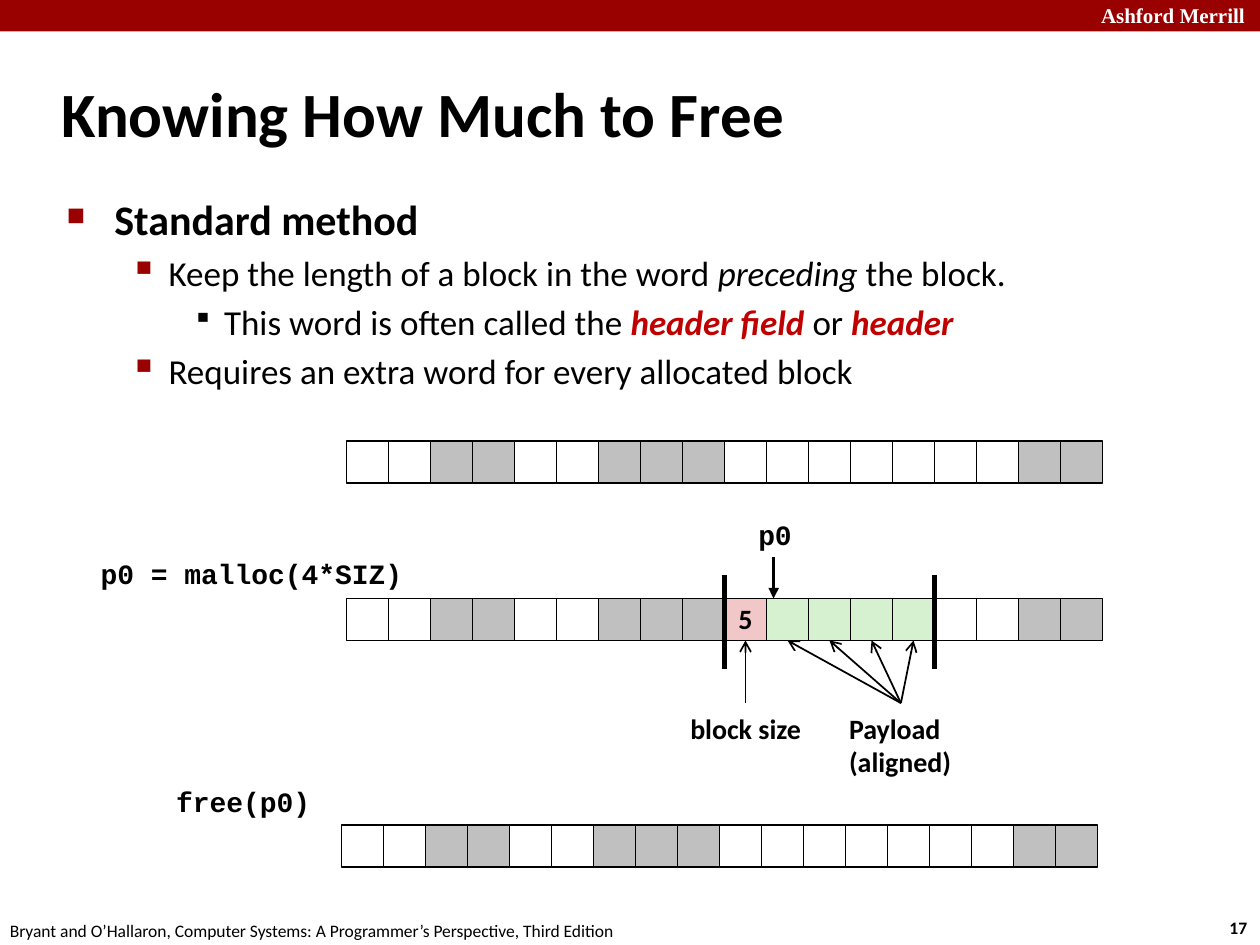
import lxml.etree
import pptx
import pptx.dml.color
import pptx.enum.shapes
import pptx.enum.text
import pptx.oxml.ns
import pptx.util
from dataclasses import dataclass


@dataclass(frozen=True)
class Theme:
    sans: str = "Calibri"
    mono: str = "Courier New"
    serif: str = "Times New Roman"
    black: str = "000000"
    white: str = "FFFFFF"
    crimson: str = "990000"
    accent: str = "C00000"
    used: str = "C0C0C0"
    header: str = "F1C7C7"
    payload: str = "D5F1CF"
    title: int = 36
    heading: int = 24
    body: int = 20
    label: int = 16
    brand: int = 12
    footer: int = 10


theme = Theme()
rgb = pptx.dml.color.RGBColor.from_string
qn = pptx.oxml.ns.qn
RECT = pptx.enum.shapes.MSO_SHAPE.RECTANGLE
STRAIGHT = pptx.enum.shapes.MSO_CONNECTOR.STRAIGHT
MIDDLE = pptx.enum.text.MSO_ANCHOR.MIDDLE
GROW = pptx.enum.text.MSO_AUTO_SIZE.SHAPE_TO_FIT_TEXT

prs = pptx.Presentation()
prs.slide_width, prs.slide_height = pptx.util.Inches(10), pptx.util.Inches(7.5)
s = prs.slides.add_slide(prs.slide_layouts[6])

# One grid unit is one memory word: 30 columns by 22.5 rows
U = prs.slide_width / 30


def write(p, text, size=theme.label, font=theme.sans, color=theme.black, bold=False, italic=False):
    """Append formatted text to a paragraph, with a line break at each newline."""
    for i, line in enumerate(text.split("\n")):
        if i:
            p.add_line_break()
        r = p.add_run()
        r.text = line
        r.font.size, r.font.name = pptx.util.Pt(size), font
        r.font.bold, r.font.italic = bold, italic
        r.font.color.rgb = rgb(color)


def draw_line(x1, y1, x2, y2, width=1, head=None):
    """Draw a straight line in grid units, with an optional arrowhead at its end."""
    c = s.shapes.add_connector(STRAIGHT, *(int(v * U) for v in (x1, y1, x2, y2)))
    c.line.color.rgb = rgb(theme.black)
    c.line.width = pptx.util.Pt(width)
    if head:
        lxml.etree.SubElement(c.line._get_or_add_ln(), qn("a:tailEnd"), type=head)
    lxml.etree.SubElement(c._element.spPr, qn("a:effectLst"))


# Top band
band = s.shapes.add_shape(RECT, 0, 0, prs.slide_width, int(0.75 * U))
band.shadow.inherit = False
band.fill.solid()
band.fill.fore_color.rgb = rgb(theme.crimson)
band.line.fill.background()

# Single-format texts: left, top, width, height, text, format
code = dict(font=theme.mono, bold=True)
texts = [
    (25.92, -0.09, 4.29, 0.9, "Ashford Merrill",
     dict(size=theme.brand, font=theme.serif, color=theme.white, bold=True)),
    (28.98, 21.69, 1.11, 0.81, "17", dict(size=theme.footer, bold=True)),
    (-0.06, 21.75, 15.24, 0.81,
     "Bryant and O’Hallaron, Computer Systems: A Programmer’s Perspective, Third Edition",
     dict(size=theme.footer)),
    (1.17, 1.44, 24.9, 2.49, "Knowing How Much to Free", dict(size=theme.title, bold=True)),
    (2.1, 13.17, 7.89, 1.08, "p0 = malloc(4*SIZ)", code),
    (17.76, 12.24, 1.41, 1.05, "p0", code),
    (3.9, 18.6, 3.84, 1.08, "free(p0)", code),
    (16.14, 16.83, 3.27, 1.11, "block size", dict(bold=True)),
    (19.92, 16.83, 3.06, 1.89, "Payload\n(aligned)", dict(bold=True)),
]
for *box, text, fmt in texts:
    tf = s.shapes.add_textbox(*(int(v * U) for v in box)).text_frame
    p = tf.paragraphs[0]
    if fmt.get("size") == theme.title:
        tf.word_wrap = True
        tf.vertical_anchor = MIDDLE
    else:
        tf.word_wrap = False
        tf.auto_size = GROW
    if "size" not in fmt:
        p.line_spacing = 0.94 if fmt is code else 0.98
    write(p, text, **fmt)

# Bullets: margin and hanging indent in grid units, bullet character, size and colour by level
levels = [
    (1.14, 1.14, "■", 60, theme.crimson),
    (2.43, 0.93, "▪", 110, theme.crimson),
    (3.75, 0.75, "▪", 80, theme.black),
]
term = dict(color=theme.accent, bold=True, italic=True)
bullets = [
    (0, [("Standard method", dict(size=theme.heading, bold=True))]),
    (1, [("Keep the length of a block in the word ", {}), ("preceding", dict(italic=True)),
         (" the block.", {})]),
    (2, [("This word is often called the ", {}), ("header field ", term), ("or ", {}),
         ("header", term)]),
    (1, [("Requires an extra word for every allocated block", {})]),
]
tf = s.shapes.add_textbox(*(int(v * U) for v in (1.29, 4.47, 25.92, 16.32))).text_frame
tf.word_wrap = True
for i, (level, runs) in enumerate(bullets):
    p = tf.add_paragraph() if i else tf.paragraphs[0]
    p.level = level
    p.space_before = pptx.util.Pt(4 if level else 4.8)
    margin, hang, char, percent, color = levels[level]
    pPr = p._p.get_or_add_pPr()
    pPr.set("marL", str(int(margin * U)))
    pPr.set("indent", str(int(-hang * U)))
    clr = lxml.etree.SubElement(pPr, qn("a:buClr"))
    lxml.etree.SubElement(clr, qn("a:srgbClr"), val=color)
    lxml.etree.SubElement(pPr, qn("a:buSzPct"), val=str(percent * 1000))
    lxml.etree.SubElement(pPr, qn("a:buChar"), char=char)
    for text, fmt in runs:
        write(p, text, **{"size": theme.body, **fmt})

# Memory rows: one letter per word
fills = {".": theme.white, "#": theme.used, "h": theme.header, "p": theme.payload}
memory_rows = [
    (8.25, 10.5, "..##..###.......##"),
    (8.25, 14.25, "..##..###hpppp..##"),
    (8.13, 19.65, "..##..###.......##"),
]
for left, top, words in memory_rows:
    row = s.shapes.add_group_shape().shapes
    for col, word in enumerate(words):
        sp = row.add_shape(RECT, int((left + col) * U), int(top * U), int(U), int(U))
        sp.shadow.inherit = False
        sp.fill.solid()
        sp.fill.fore_color.rgb = rgb(fills[word])
        sp.line.color.rgb = rgb(theme.black)
        sp.line.width = pptx.util.Pt(1)
        if word == "h":
            sp.text_frame.word_wrap = False
            sp.text_frame.vertical_anchor = MIDDLE
            p = sp.text_frame.paragraphs[0]
            p.alignment = pptx.enum.text.PP_ALIGN.CENTER
            p.line_spacing = 0.98
            write(p, "5", bold=True)

# Block limits, pointer and arrows from the labels
for x in (17.25, 22.25):
    draw_line(x, 13.68, x, 15.93, width=3)
draw_line(18.42, 13.26, 18.42, 14.25, width=2, head="triangle")
draw_line(17.75, 16.74, 17.75, 15.25, head="arrow")
for word in range(4):
    draw_line(21.45, 16.74, 18.75 + word, 15.25, head="arrow")

prs.save("out.pptx")
